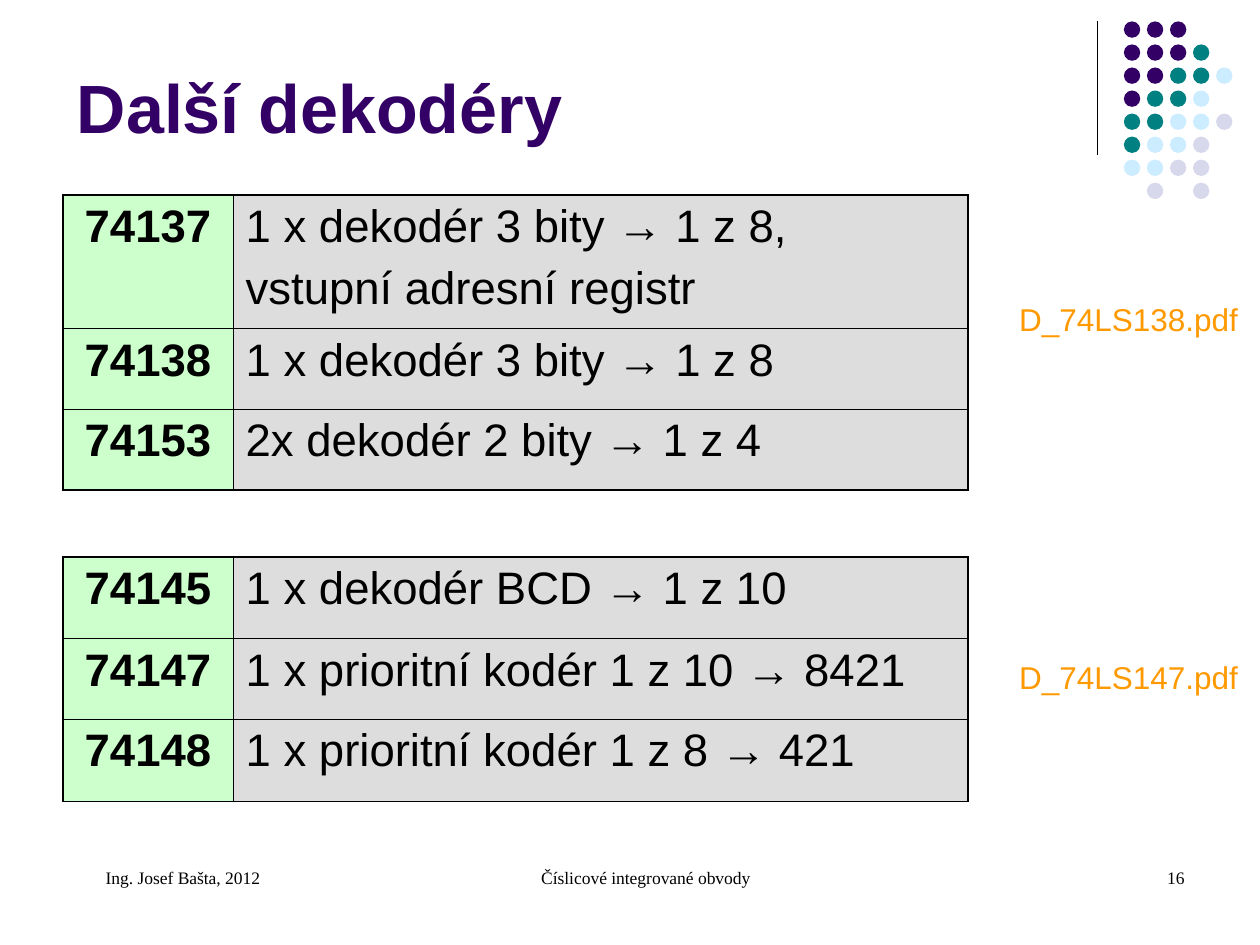
from dataclasses import dataclass

from lxml import etree
from pptx import Presentation
from pptx.dml.color import RGBColor
from pptx.enum.shapes import MSO_CONNECTOR, MSO_SHAPE
from pptx.enum.text import MSO_ANCHOR, MSO_AUTO_SIZE, PP_ALIGN
from pptx.oxml.ns import qn
from pptx.util import Inches, Pt

LEFT, CENTER, RIGHT = PP_ALIGN.LEFT, PP_ALIGN.CENTER, PP_ALIGN.RIGHT
BOTTOM = MSO_ANCHOR.BOTTOM
NO_AUTOFIT = MSO_AUTO_SIZE.NONE
STRAIGHT = MSO_CONNECTOR.STRAIGHT
OVAL = MSO_SHAPE.OVAL


@dataclass(frozen=True)
class Theme:
    purple: str = "330066"
    teal: str = "008080"
    sky: str = "CCECFF"
    lavender: str = "D8D8EC"
    black: str = "000000"
    code_fill: str = "CCFFCC"
    text_fill: str = "DDDDDD"
    file_color: str = "FF9900"
    sans: str = "Arial"
    serif: str = "Times New Roman"
    title_size: float = 39
    table_size: float = 26
    file_size: float = 18
    footer_size: float = 10
    outer_border: float = 1.08
    inner_border: float = 0.45


theme = Theme()


def style(paragraph, face, size, color, bold=False, align=LEFT):
    paragraph.alignment = align
    font = paragraph.font
    font.name, font.size, font.bold = face, Pt(size), bold
    font.color.rgb = RGBColor.from_string(color)


def add_border(cell, side, width):
    line = etree.SubElement(cell._tc.get_or_add_tcPr(), qn(f"a:ln{side}"), w=str(Pt(width)))
    fill = etree.SubElement(line, qn("a:solidFill"))
    etree.SubElement(fill, qn("a:srgbClr"), val=theme.black)


prs = Presentation()
prs.slide_width, prs.slide_height = Inches(10), Inches(7.5)
slide = prs.slides.add_slide(prs.slide_layouts[5])
shapes = slide.shapes

rule = shapes.add_connector(STRAIGHT, Inches(8.71), Inches(0.17), Inches(8.71), Inches(1.23))
rule.line.color.rgb = RGBColor.from_string(theme.black)
rule.line.width = Pt(0.75)
etree.SubElement(rule._element.spPr, qn("a:effectLst"))

dot_colors = {"P": theme.purple, "T": theme.teal, "S": theme.sky, "L": theme.lavender}
dot_rows = ["PPP", "PPPT", "PPTTS", "PTTS", "TTSSL", "TSSL", "SSLL", " L L"]
dot_pitch = 1.28 / 7
for row, pattern in enumerate(dot_rows):
    for column, key in enumerate(pattern):
        if key in dot_colors:
            dot = shapes.add_shape(
                OVAL, Inches(8.92 + column * dot_pitch), Inches(0.17 + row * dot_pitch),
                Inches(0.13), Inches(0.13))
            dot.shadow.inherit = False
            dot.fill.solid()
            dot.fill.fore_color.rgb = RGBColor.from_string(dot_colors[key])
            dot.line.fill.background()

title = shapes.title
title.left, title.top, title.width, title.height = (
    Inches(0.51), Inches(0.36), Inches(8.25), Inches(0.86))
title.text_frame.text = "Další dekodéry"
title.text_frame.vertical_anchor = BOTTOM
title.text_frame.auto_size = NO_AUTOFIT
style(title.text_frame.paragraphs[0], theme.sans, theme.title_size, theme.purple, bold=True)

decoders = [
    ("74137", "1 x dekodér 3 bity → 1 z 8,\nvstupní adresní registr"),
    ("74138", "1 x dekodér 3 bity → 1 z 8"),
    ("74153", "2x dekodér 2 bity → 1 z 4"),
]
encoders = [
    ("74145", "1 x dekodér BCD → 1 z 10"),
    ("74147", "1 x prioritní kodér 1 z 10 → 8421"),
    ("74148", "1 x prioritní kodér 1 z 8 → 421"),
]
column_widths = (1.35, 5.83)
column_styles = [(theme.code_fill, True, CENTER), (theme.text_fill, False, LEFT)]
for top, heights, circuits in [
    (1.55, (1.06, 0.64, 0.64), decoders),
    (4.42, (0.65, 0.64, 0.65), encoders),
]:
    table = shapes.add_table(
        len(circuits), 2, Inches(0.5), Inches(top),
        Inches(sum(column_widths)), Inches(sum(heights))).table
    table.first_row = table.horz_banding = False
    for column, width in zip(table.columns, column_widths):
        column.width = Inches(width)
    for row, (height, circuit) in enumerate(zip(heights, circuits)):
        table.rows[row].height = Inches(height)
        for column, (text, (fill, bold, align)) in enumerate(zip(circuit, column_styles)):
            cell = table.cell(row, column)
            cell.text = text
            outer_sides = {
                "L": column == 0, "R": column == 1,
                "T": row == 0, "B": row == len(circuits) - 1,
            }
            for side, is_outer in outer_sides.items():
                add_border(cell, side, theme.outer_border if is_outer else theme.inner_border)
            cell.fill.solid()
            cell.fill.fore_color.rgb = RGBColor.from_string(fill)
            for index, paragraph in enumerate(cell.text_frame.paragraphs):
                if index:
                    paragraph.space_before = Pt(6.5)
                style(paragraph, theme.sans, theme.table_size, theme.black, bold, align)

for top, file_name in [(2.33, "D_74LS138.pdf"), (5.17, "D_74LS147.pdf")]:
    datasheet = shapes.add_textbox(Inches(7.99), Inches(top), Inches(2.01), Inches(0.4)).text_frame
    datasheet.word_wrap = True
    datasheet.text = file_name
    style(datasheet.paragraphs[0], theme.sans, theme.file_size, theme.file_color)

for left, width, text, align in [
    (0.5, 2.33, "Ing. Josef Bašta, 2012", LEFT),
    (3.42, 3.17, "Číslicové integrované obvody", CENTER),
    (7.17, 2.33, "16", RIGHT),
]:
    footer = shapes.add_textbox(Inches(left), Inches(6.83), Inches(width), Inches(0.5)).text_frame
    footer.word_wrap = True
    footer.text = text
    footer.paragraphs[0]._p.get_or_add_pPr().set("marL", str(Inches(0.24)))
    style(footer.paragraphs[0], theme.serif, theme.footer_size, theme.black, align=align)

prs.save("out.pptx")
